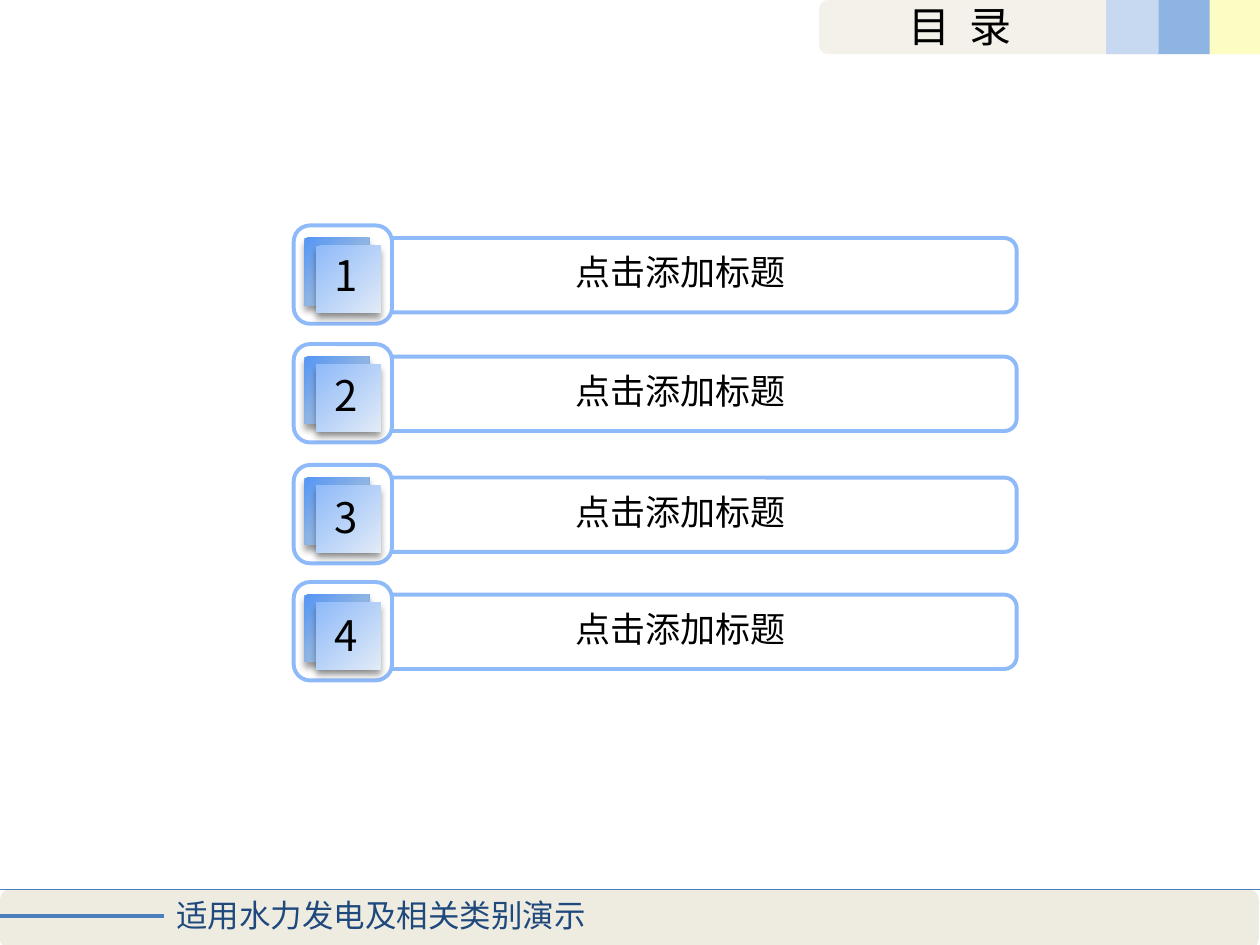
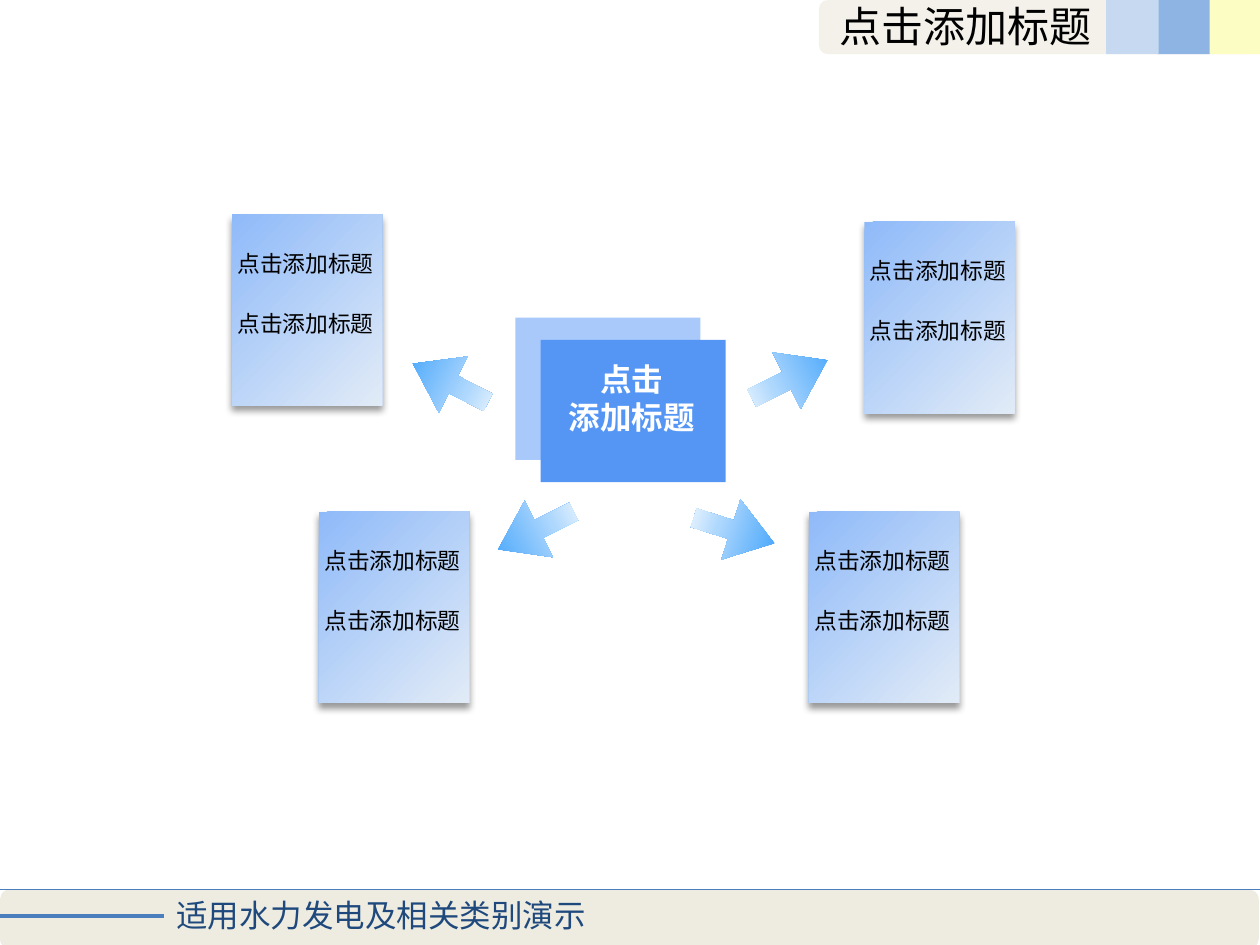
from lxml import etree
from pptx import Presentation
from pptx.dml.color import RGBColor as Rgb
from pptx.enum.shapes import MSO_CONNECTOR as Line, MSO_SHAPE as Preset
from pptx.enum.text import MSO_ANCHOR as Anchor, MSO_AUTO_SIZE as Fit, PP_ALIGN as Align
from pptx.oxml import parse_xml
from pptx.oxml.ns import nsdecls, qn
from pptx.util import Pt

COLORS = {
    "ink": "000000", "paper": "FFFFFF", "sand": "EEECE1", "navy": "1F497D",
    "rule": "4B7EBC", "lemon": "FCFDC3", "sky": "8EB4E3", "mist": "C6D9F1",
    "frame": "8FBAF9", "core": "5596F5", "echo": "A8C9FA", "pale": "E1EBF7",
    "arrow": "339CFB", "arrow_mid": "ADD7FD",
}
FONT = "Noto Sans CJK SC"
PROMPT = "点击添加标题"
TILE = ([(0, "frame"), (100, "pale")], 45)
TILE_BACK = ([(0, "core"), (50, "sky"), (100, "mist")], 45)
ARROW = ([(0, "arrow"), (63, "arrow_mid"), (100, "paper")], 0)


def color(name):
    return Rgb.from_string(COLORS[name])


class Deck:
    def __init__(self):
        self.prs = Presentation()
        self.prs.slide_width, self.prs.slide_height = Pt(720), Pt(540)
        self.layout = self.prs.slide_layouts[5]
        for unused in list(self.layout.placeholders)[1:]:
            unused.element.getparent().remove(unused.element)
        self.slide = None

    def new_slide(self, heading, left, width, tracking=0):
        self.slide = self.prs.slides.add_slide(self.layout)
        if len(self.prs.slides) == 1:
            self.shared_bands()
        title = self.slide.shapes.title
        self.place(title, left, -3.6, width, 36.7)
        self.set_text(title, [heading], 24, wrap=False)
        if tracking:
            for run_style in title.element.iter(qn("a:rPr")):
                run_style.set("spc", str(round(tracking * 100)))

    def shared_bands(self):
        heading_band = self.box(Preset.ROUNDED_RECTANGLE, 468, 0, 252, 31, "sand")
        heading_color = heading_band.element.spPr.find(".//" + qn("a:srgbClr"))
        etree.SubElement(heading_color, qn("a:alpha"), val="70000")
        for step, swatch in enumerate(("lemon", "sky", "mist")):
            self.box(Preset.RECTANGLE, 690.5 - 29.2 * step, 0, 30, 31, swatch)
        self.box(Preset.ROUNDED_RECTANGLE, 0, 508.3, 719.3, 33.8, "sand")
        motto = self.text(["适用水力发电及相关类别演示"], 93.6, 508.3, 250, 30, 18, ink="navy")
        self.line(0, 523.3, 93.6, 523.3, 2.25).end_connect(motto, 1)
        self.line(0, 508.3, 720, 508.3, 0.25)
        for shape in list(self.slide.shapes)[1:]:
            self.layout.shapes.element.append(shape.element)

    def place(self, shape, left, top, width, height):
        frame = {"left": left, "top": top, "width": width, "height": height}
        for side, value in frame.items():
            setattr(shape, side, Pt(value))

    def set_text(self, shape, lines, size, ink="ink", align=Align.LEFT, bold=False, wrap=True):
        layout = {
            "word_wrap": wrap, "auto_size": Fit.NONE, "vertical_anchor": Anchor.TOP,
            "margin_left": Pt(7.2), "margin_right": Pt(7.2),
            "margin_top": Pt(3.6), "margin_bottom": Pt(3.6),
        }
        for name, value in layout.items():
            setattr(shape.text_frame, name, value)
        shape.text_frame.text = "\n".join(lines)
        style = {"name": FONT, "size": Pt(size), "bold": bold}
        for paragraph in shape.text_frame.paragraphs:
            paragraph.alignment = align
            font = paragraph.runs[0].font
            for name, value in style.items():
                setattr(font, name, value)
            font.color.rgb = color(ink)
        for run_style in shape.element.iter(qn("a:rPr")):
            etree.SubElement(run_style, qn("a:ea"), typeface=FONT)

    def text(self, lines, left, top, width, height, size, **style):
        label = self.slide.shapes.add_textbox(Pt(left), Pt(top), Pt(width), Pt(height))
        self.set_text(label, lines, size, **style)
        return label

    def box(self, preset, left, top, width, height, fill, outline=None):
        shape = self.slide.shapes.add_shape(preset, Pt(left), Pt(top), Pt(width), Pt(height))
        shape.shadow.inherit = False
        if isinstance(fill, tuple):
            self.gradient(shape, *fill)
        else:
            shape.fill.solid()
            shape.fill.fore_color.rgb = color(fill)
        if outline:
            shape.line.color.rgb = color(outline)
            shape.line.width = Pt(2.25)
        else:
            shape.line.fill.background()
        return shape

    def gradient(self, shape, stops, angle):
        marks = "".join(
            f'<a:gs pos="{pos * 1000}"><a:srgbClr val="{COLORS[name]}"/></a:gs>'
            for pos, name in stops)
        shape.element.spPr.find(qn("a:prstGeom")).addnext(parse_xml(
            f'<a:gradFill {nsdecls("a")} rotWithShape="1"><a:gsLst>{marks}</a:gsLst>'
            f'<a:lin ang="{angle * 60000}" scaled="0"/></a:gradFill>'))

    def tile(self, left, top, width, height, fill=TILE):
        tile = self.box(Preset.RECTANGLE, left, top, width, height, fill)
        tile.element.spPr.find(qn("a:effectLst")).append(parse_xml(
            f'<a:outerShdw {nsdecls("a")} blurRad="{Pt(4)}" dist="{Pt(3)}" dir="5400000" '
            f'algn="t" rotWithShape="0"><a:srgbClr val="{COLORS["ink"]}">'
            '<a:alpha val="40000"/></a:srgbClr></a:outerShdw>'))

    def arrow(self, left, top, angle):
        arrow = self.box(Preset.LEFT_ARROW, left, top, 48.2, 36, ARROW)
        arrow.adjustments[0], arrow.adjustments[1] = 0.31, 0.72
        arrow.rotation = angle

    def line(self, x1, y1, x2, y2, weight):
        rule = self.slide.shapes.add_connector(Line.STRAIGHT, Pt(x1), Pt(y1), Pt(x2), Pt(y2))
        rule.line.color.rgb = color("rule")
        rule.line.width = Pt(weight)
        etree.SubElement(rule.element.spPr, qn("a:effectLst"))
        return rule

    def agenda_row(self, number, top):
        self.box(Preset.ROUNDED_RECTANGLE, 208.8, top, 372.2, 42.5, "paper", "frame")
        self.box(Preset.ROUNDED_RECTANGLE, 167.8, top - 7.2, 56.2, 56.2, "paper", "frame")
        self.tile(174, top, 37, 38.5, TILE_BACK)
        self.tile(180.7, top + 4.4, 37, 38.5)
        self.text([str(number)], 184.3, top + 2.2 + 0.7 * number, 26.6, 36.5, 24, wrap=False)
        self.text([PROMPT], 280.8, top + 3.8, 216, 32.4, 20, align=Align.CENTER)

    def card(self, left, top):
        self.tile(left, top, 85.9, 109.4)
        for row in range(2):
            self.text([PROMPT], left - 25.2, top + 16.6 + 34.4 * row, 134.6, 23, 13,
                      align=Align.CENTER)


def main():
    deck = Deck()
    deck.new_slide("目 录", 511.9, 87.1, tracking=2.7)
    for number, top in enumerate((136, 203.8, 272.9, 339.8), 1):
        deck.agenda_row(number, top)

    deck.new_slide(PROMPT, 472.3, 159.8)
    for left, top, angle in ((427, 198.7, 153.3), (282.2, 285.1, 333.4),
                             (233.3, 200.9, 27.3), (395.3, 285.1, 197.6)):
        deck.arrow(left, top, angle)
    deck.box(Preset.RECTANGLE, 294.5, 181.5, 105.8, 81.4, "echo")
    deck.box(Preset.RECTANGLE, 308.9, 194.2, 105.8, 81.4, "core")
    for left, top in ((132.5, 122.4), (493.9, 126.7), (182.2, 292.3), (462.2, 292.3)):
        deck.card(left, top)
    deck.text(["点击", "添加标题"], 293.8, 202.3, 134.6, 51, 18,
              ink="paper", align=Align.CENTER, bold=True)

    deck.prs.save("out.pptx")


if __name__ == "__main__":
    main()
